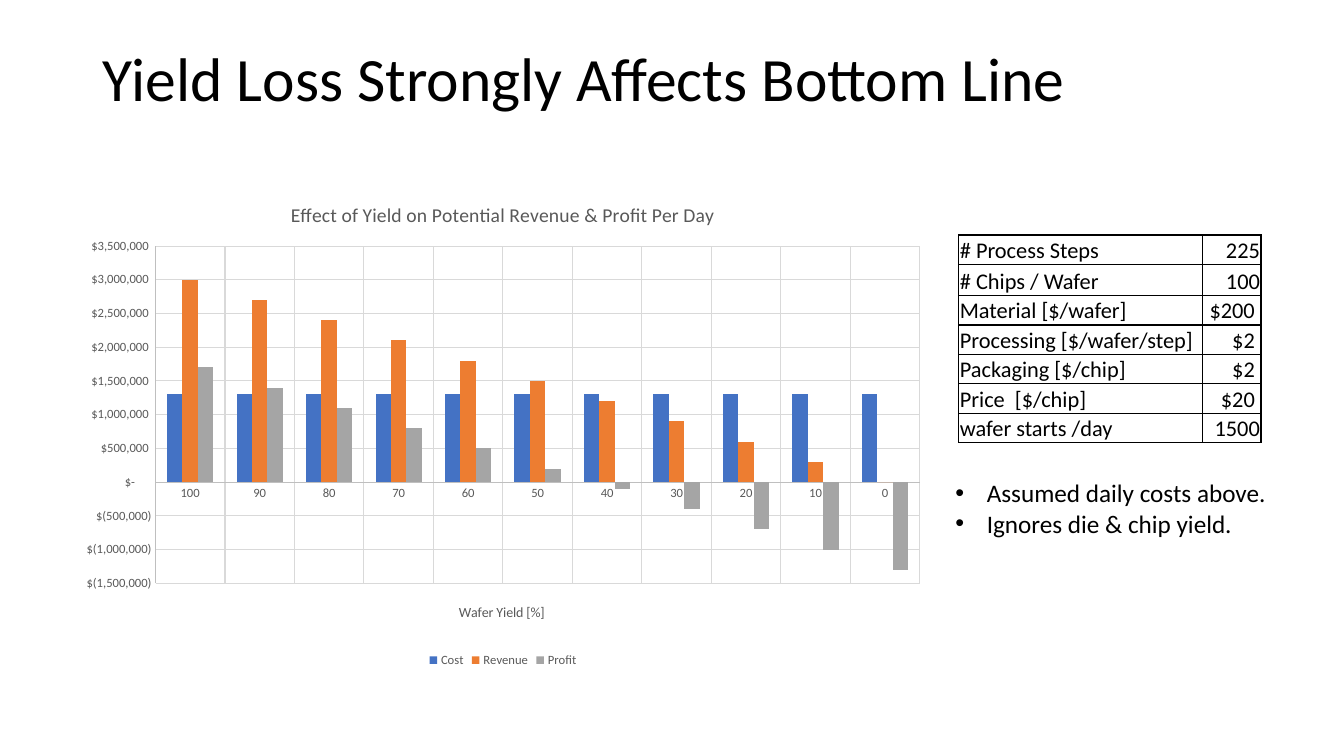
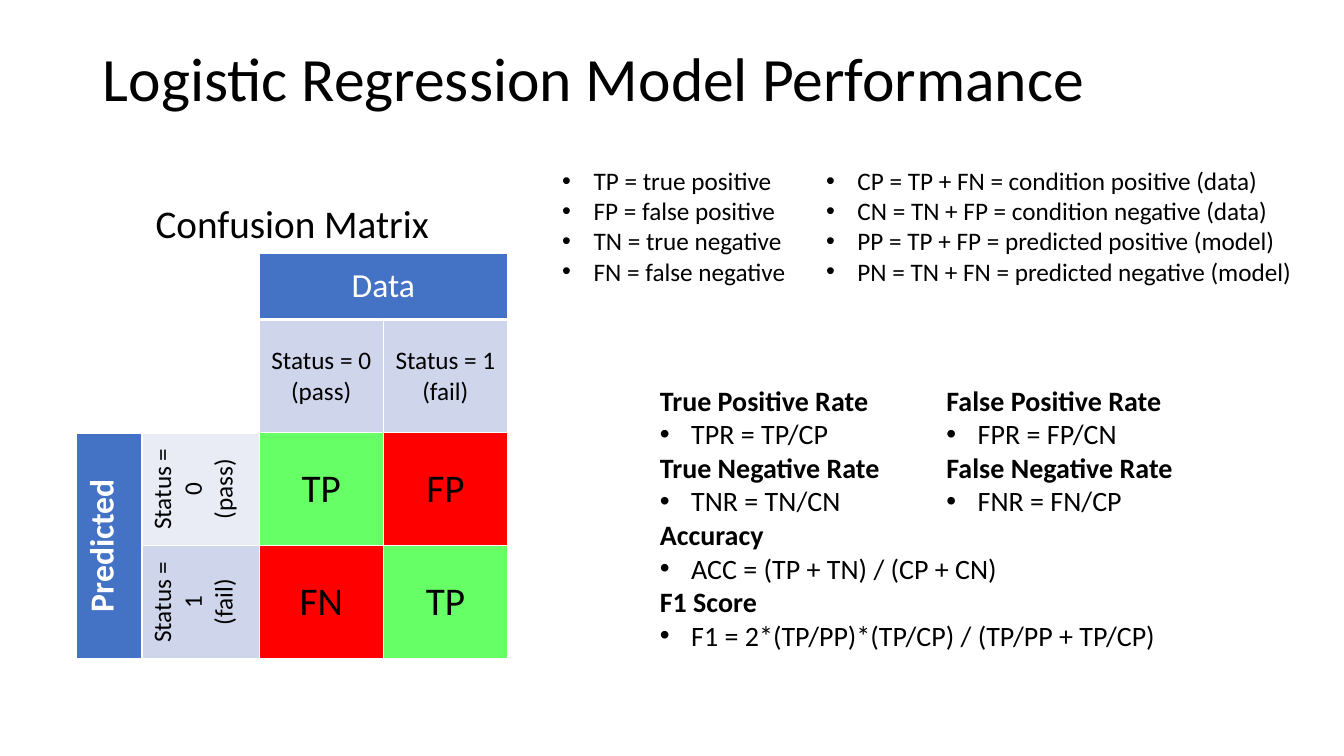
from dataclasses import dataclass
from typing import Optional

from lxml.etree import SubElement
from pptx import Presentation
from pptx.chart.data import CategoryChartData
from pptx.dml.color import RGBColor
from pptx.enum.chart import XL_CHART_TYPE, XL_LEGEND_POSITION, XL_TICK_MARK
from pptx.enum.text import MSO_ANCHOR as ANCHOR, PP_ALIGN as ALIGN
from pptx.oxml import parse_xml
from pptx.oxml.ns import nsdecls, qn
from pptx.util import Cm, Pt

FONT = "Calibri"
BLACK = RGBColor(0x00, 0x00, 0x00)
WHITE = RGBColor(0xFF, 0xFF, 0xFF)
BLUE = RGBColor(0x44, 0x72, 0xC4)
ORANGE = RGBColor(0xED, 0x7D, 0x31)
GRAY = RGBColor(0xA5, 0xA5, 0xA5)
BAND_DARK = RGBColor(0xCF, 0xD5, 0xEA)
BAND_LIGHT = RGBColor(0xE9, 0xEB, 0xF5)
GREEN = RGBColor(0x66, 0xFF, 0x66)
RED = RGBColor(0xFF, 0x00, 0x00)
CHART_TEXT = RGBColor(0x59, 0x59, 0x59)
AXIS_LINE = RGBColor(0xBF, 0xBF, 0xBF)
GRID_LINE = RGBColor(0xD9, 0xD9, 0xD9)

INDENT = Cm(0.79)
DOLLARS = r'_("$"* #,##0_);_("$"* \(#,##0\);_("$"* "-"??_);_(@_)'


@dataclass(frozen=True)
class Box:
    left: float
    top: float
    width: float
    height: float

    def lengths(self) -> tuple:
        return Cm(self.left), Cm(self.top), Cm(self.width), Cm(self.height)


@dataclass(frozen=True)
class Series:
    name: str
    values: list[int]
    color: RGBColor


@dataclass(frozen=True)
class MatrixCell:
    row: int
    col: int
    text: str
    fill: RGBColor
    size: int = 18
    color: RGBColor = BLACK
    bold: bool = False
    rows: int = 1
    cols: int = 1
    vertical: bool = False
    bottom: float = 1


@dataclass(frozen=True)
class Rates:
    box: Box
    formulas: dict[str, str]


TITLE_BOX = Box(2.34, 1.02, 29.21, 2.06)

YIELDS = range(100, -1, -10)
COST = 1_300_000
REVENUES = [30_000 * y for y in YIELDS]
DAILY_SERIES = [
    Series("Cost", [COST for _ in YIELDS], BLUE),
    Series("Revenue", REVENUES, ORANGE),
    Series("Profit", [revenue - COST for revenue in REVENUES], GRAY),
]

ASSUMPTIONS = [
    ("# Process Steps", "225"),
    ("# Chips / Wafer", "100"),
    ("Material [$/wafer]", "$200 "),
    ("Processing [$/wafer/step]", "$2 "),
    ("Packaging [$/chip]", "$2 "),
    ("Price  [$/chip]", "$20 "),
    ("wafer starts /day", "1500"),
]

CONFUSION = [
    MatrixCell(0, 0, "", WHITE, rows=2, cols=2, bottom=3),
    MatrixCell(0, 2, "Data", BLUE, 24, WHITE, cols=2, bottom=3),
    MatrixCell(1, 2, "Status = 0\n(pass)", BAND_DARK),
    MatrixCell(1, 3, "Status = 1\n(fail)", BAND_DARK),
    MatrixCell(2, 0, "Predicted", BLUE, 24, WHITE, True, rows=2, vertical=True),
    MatrixCell(2, 1, "Status = 0\n(pass)", BAND_LIGHT, vertical=True),
    MatrixCell(2, 2, "TP", GREEN, 28),
    MatrixCell(2, 3, "FP", RED, 28),
    MatrixCell(3, 1, "Status = 1\n(fail)", BAND_DARK, vertical=True),
    MatrixCell(3, 2, "FN", RED, 28),
    MatrixCell(3, 3, "TP", GREEN, 28),
]

DEFINITIONS = [
    (Box(13.92, 4.04, 6.6, 4.11),
     "TP = true positive\nFP = false positive\n"
     "TN = true negative\nFN = false negative"),
    (Box(20.57, 4.04, 12.9, 3.33),
     "CP = TP + FN = condition positive (data)\n"
     "CN = TN + FP = condition negative (data)\n"
     "PP = TP + FP = predicted positive (model)\n"
     "PN = TN + FN = predicted negative (model)"),
]

RATES = [
    Rates(Box(16.38, 9.53, 14.63, 7.87), {
        "True Positive Rate": "TPR = TP/CP",
        "True Negative Rate": "TNR = TN/CN",
        "Accuracy": "ACC = (TP + TN) / (CP + CN)",
        "F1 Score": "F1 = 2*(TP/PP)*(TP/CP) / (TP/PP + TP/CP)",
    }),
    Rates(Box(23.6, 9.53, 6.6, 3.68), {
        "False Positive Rate": "FPR = FP/CN",
        "False Negative Rate": "FNR = FN/CP",
    }),
]


def write(tf, text: str, *, size: float = 18, color: RGBColor = BLACK,
          bold: bool = False, align: ALIGN = ALIGN.LEFT, bullet: bool = False,
          spacing: Optional[float] = None) -> None:
    for line in text.split("\n"):
        p = tf.paragraphs[-1]
        if p.runs:
            p = tf.add_paragraph()
        p.alignment = align
        p.line_spacing = spacing
        if bullet:
            ppr = p._p.get_or_add_pPr()
            ppr.set("marL", str(INDENT))
            ppr.set("indent", str(-INDENT))
            SubElement(ppr, qn("a:buFont")).set("typeface", "Arial")
            SubElement(ppr, qn("a:buChar")).set("char", "•")
        r = p.add_run()
        r.text = line
        style_font(r.font, size, color, bold)


def style_font(font, size: float, color: RGBColor, bold: bool = False) -> None:
    font.name = FONT
    font.size = Pt(size)
    font.bold = bold
    font.color.rgb = color


def add_text(slide, box: Box, text: str = "",
             anchor: ANCHOR = ANCHOR.TOP, **fmt):
    tf = slide.shapes.add_textbox(*box.lengths()).text_frame
    tf.word_wrap = True
    tf.vertical_anchor = anchor
    if text:
        write(tf, text, **fmt)
    return tf


def add_slide(prs, title: str):
    slide = prs.slides.add_slide(prs.slide_layouts[6])
    add_text(slide, TITLE_BOX, title, ANCHOR.MIDDLE, size=44, spacing=0.9)
    return slide


def add_grid(slide, left: float, top: float,
             widths: list[float], heights: list[float]):
    box = Box(left, top, sum(widths), sum(heights))
    table = slide.shapes.add_table(
        len(heights), len(widths), *box.lengths()).table
    table.first_row = table.horz_banding = False
    for column, width in zip(table.columns, widths):
        column.width = Cm(width)
    for row, height in zip(table.rows, heights):
        row.height = Cm(height)
    return table


def style_cell(cell, fill: RGBColor, border: RGBColor,
               bottom: float = 1) -> None:
    tcpr = cell._tc.get_or_add_tcPr()
    for side, width in dict(L=1, R=1, T=1, B=bottom).items():
        ln = SubElement(tcpr, qn(f"a:ln{side}"), w=str(Pt(width)))
        solid = SubElement(ln, qn("a:solidFill"))
        SubElement(solid, qn("a:srgbClr"), val=str(border))
    cell.fill.solid()
    cell.fill.fore_color.rgb = fill


def style_axis(axis) -> None:
    axis.major_tick_mark = axis.minor_tick_mark = XL_TICK_MARK.NONE
    style_font(axis.tick_labels.font, 9, CHART_TEXT)
    axis.has_major_gridlines = True
    for line, color in ((axis.format.line, AXIS_LINE),
                        (axis.major_gridlines.format.line, GRID_LINE)):
        line.color.rgb = color
        line.width = Pt(0.75)


def place_plot(chart, x: float, y: float, w: float, h: float) -> None:
    area = chart._chartSpace.chart.plotArea
    for layout in area.findall(qn("c:layout")):
        area.remove(layout)
    sizes = "".join(f'<c:{tag} val="{value}"/>'
                    for tag, value in dict(x=x, y=y, w=w, h=h).items())
    area.insert(0, parse_xml(
        f'<c:layout {nsdecls("c")}><c:manualLayout>'
        '<c:layoutTarget val="inner"/>'
        '<c:xMode val="edge"/><c:yMode val="edge"/>'
        f'{sizes}</c:manualLayout></c:layout>'))


def add_yield_chart(slide) -> None:
    data = CategoryChartData()
    data.categories = [str(y) for y in YIELDS]
    for s in DAILY_SERIES:
        data.add_series(s.name, s.values)
    chart = slide.shapes.add_chart(
        XL_CHART_TYPE.COLUMN_CLUSTERED,
        *Box(1.73, 4.6, 21.89, 12.32).lengths(), data).chart
    style_font(chart.font, 10, BLACK)
    chart.has_title = True
    write(chart.chart_title.text_frame,
          "Effect of Yield on Potential Revenue & Profit Per Day",
          size=14, color=CHART_TEXT)
    chart.has_legend = True
    chart.legend.position = XL_LEGEND_POSITION.BOTTOM
    chart.legend.include_in_layout = False
    style_font(chart.legend.font, 9, CHART_TEXT)

    plot = chart.plots[0]
    plot.gap_width = 150
    plot.vary_by_categories = False
    for drawn, s in zip(plot.series, DAILY_SERIES):
        drawn.invert_if_negative = False
        drawn.format.fill.solid()
        drawn.format.fill.fore_color.rgb = s.color

    style_axis(chart.category_axis)
    style_axis(chart.value_axis)
    write(chart.category_axis.axis_title.text_frame, "Wafer Yield [%]",
          size=10, color=CHART_TEXT)
    value_axis = chart.value_axis
    value_axis.minimum_scale = -1_500_000
    value_axis.maximum_scale = 3_500_000
    value_axis.major_unit = 500_000
    value_axis.tick_labels.number_format = DOLLARS
    value_axis.tick_labels.number_format_is_linked = False
    place_plot(chart, 0.1, 0.13, 0.88, 0.69)


def add_assumptions(slide) -> None:
    heights = [0.79 if i == 1 else 0.74 for i in range(len(ASSUMPTIONS))]
    table = add_grid(slide, 24.16, 5.92, [6.15, 1.47], heights)
    for i, texts in enumerate(ASSUMPTIONS):
        for j, (text, align) in enumerate(zip(texts, (ALIGN.LEFT, ALIGN.RIGHT))):
            cell = table.cell(i, j)
            cell.margin_left = cell.margin_right = cell.margin_top = Cm(0.03)
            cell.margin_bottom = 0
            cell.vertical_anchor = ANCHOR.BOTTOM
            style_cell(cell, WHITE, BLACK)
            write(cell.text_frame, text, size=16, align=align)


def add_confusion_matrix(slide) -> None:
    table = add_grid(slide, 1.93, 6.38, [1.65, 2.95, 3.13, 3.13],
                     [1.67, 2.85, 2.85, 2.85])
    for m in CONFUSION:
        cell = table.cell(m.row, m.col)
        if m.rows * m.cols > 1:
            cell.merge(table.cell(m.row + m.rows - 1, m.col + m.cols - 1))
        cell.vertical_anchor = ANCHOR.MIDDLE
        if m.vertical:
            cell._tc.get_or_add_tcPr().set("vert", "vert270")
        style_cell(cell, m.fill, WHITE, m.bottom)
        if m.text:
            write(cell.text_frame, m.text, size=m.size, color=m.color,
                  bold=m.bold, align=ALIGN.CENTER)


def build_yield_slide(prs) -> None:
    slide = add_slide(prs, "Yield Loss Strongly Affects Bottom Line")
    add_yield_chart(slide)
    add_assumptions(slide)
    add_text(slide, Box(23.83, 11.91, 8.69, 1.8),
             "Assumed daily costs above.\nIgnores die & chip yield.", bullet=True)


def build_model_slide(prs) -> None:
    slide = add_slide(prs, "Logistic Regression Model Performance")
    add_confusion_matrix(slide)
    add_text(slide, Box(1.93, 4.9, 10.87, 1.45), "Confusion Matrix",
             size=28, align=ALIGN.CENTER)
    for box, text in DEFINITIONS:
        add_text(slide, box, text, bullet=True)
    for rates in RATES:
        tf = add_text(slide, rates.box)
        for name, formula in rates.formulas.items():
            write(tf, name, size=20, bold=True)
            write(tf, formula, size=20, bullet=True)


def main() -> None:
    prs = Presentation()
    prs.slide_width, prs.slide_height = Cm(33.87), Cm(19.05)
    build_yield_slide(prs)
    build_model_slide(prs)
    prs.save("out.pptx")


if __name__ == "__main__":
    main()
